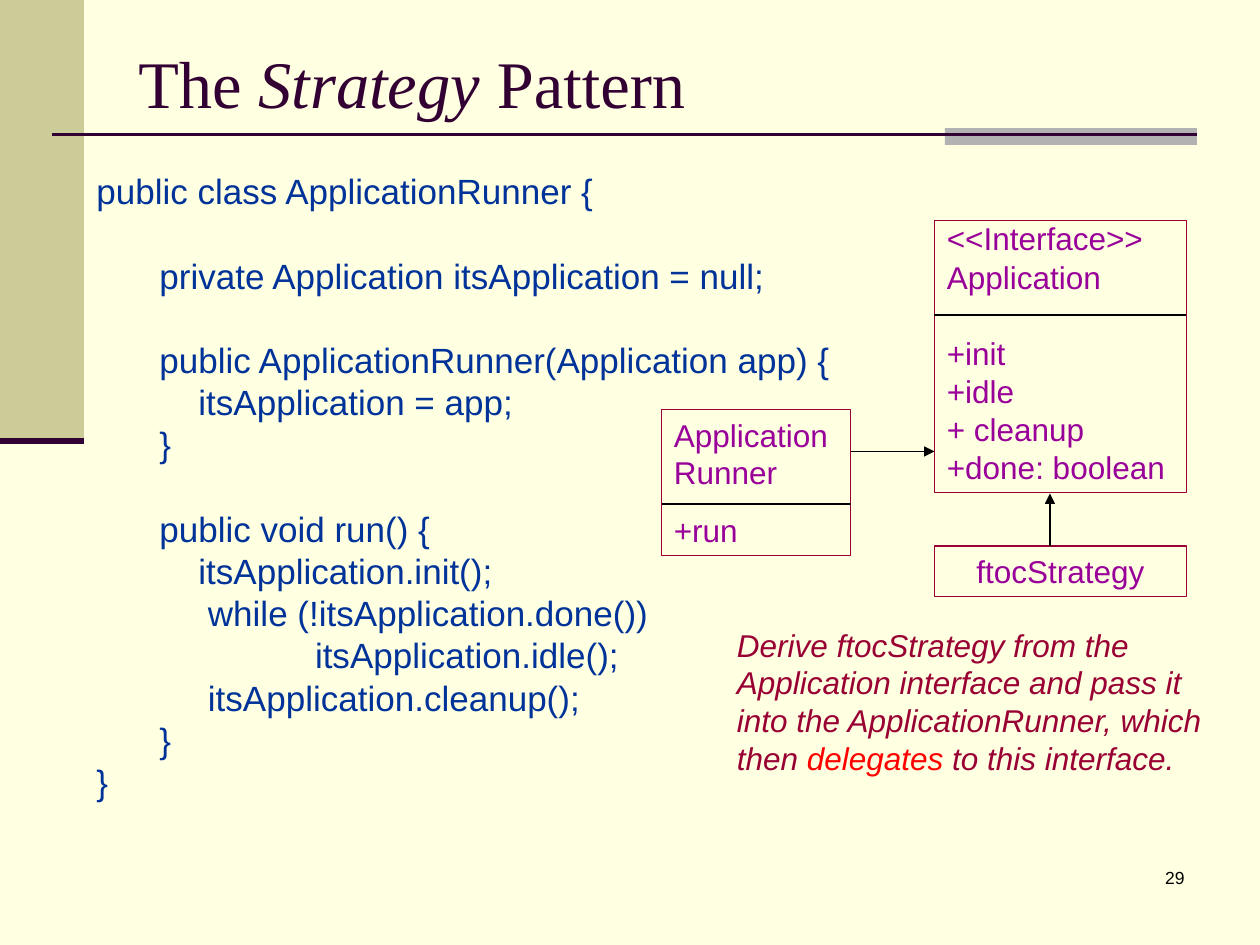
from lxml import etree
from pptx import Presentation
from pptx.dml.color import RGBColor
from pptx.enum.shapes import MSO_CONNECTOR, MSO_SHAPE
from pptx.enum.text import MSO_ANCHOR, PP_ALIGN
from pptx.oxml.ns import qn
from pptx.util import Inches, Pt

# Colours
CREAM, SAND, GREY, PLUM = "FFFFE1", "CCCC99", "B2B2B2", "330033"
BLUE, PURPLE, WINE, RED, BLACK = "003399", "990099", "990033", "FF0000", "000000"


def color(value):
    return RGBColor.from_string(value)


def grid(*units):
    """Lengths on a grid of 12 cells to the inch (120 columns, 90 rows)."""
    return [Inches(unit / 12) for unit in units]


class Slide:
    """Holds the style and the page being filled."""

    def __init__(self, deck, font="Arial"):
        self.font = font
        self.page = deck.slides.add_slide(deck.slide_layouts[6])
        self.page.background.fill.solid()
        self.page.background.fill.fore_color.rgb = color(CREAM)

    def rect(self, area, fill=None, line=None):
        shape = self.page.shapes.add_shape(MSO_SHAPE.RECTANGLE, *grid(*area))
        shape.shadow.inherit = False
        if fill:
            shape.fill.solid()
            shape.fill.fore_color.rgb = color(fill)
        else:
            shape.fill.background()
        if line:
            shape.line.color.rgb = color(line)
            shape.line.width = Pt(0.75)
        else:
            shape.line.fill.background()
        return shape

    def line(self, start, end, ink=BLACK, width=0.75, arrow=False):
        line = self.page.shapes.add_connector(
            MSO_CONNECTOR.STRAIGHT, *grid(*start, *end))
        line.line.color.rgb = color(ink)
        line.line.width = Pt(width)
        if arrow:
            outline = line._element.spPr.find(qn("a:ln"))
            etree.SubElement(outline, qn("a:tailEnd"), type="triangle")
        etree.SubElement(line._element.spPr, qn("a:effectLst"))

    def box(self, area):
        return self.page.shapes.add_textbox(*grid(*area))

    def text(self, box, paragraphs, size, ink, font=None, align=PP_ALIGN.LEFT,
             anchor=MSO_ANCHOR.TOP, spacing=None):
        """Each paragraph is (space before, spans); a span is (words, changes)."""
        frame = box.text_frame
        frame.word_wrap = True
        frame.vertical_anchor = anchor
        for number, (before, spans) in enumerate(paragraphs):
            para = frame.paragraphs[0] if number == 0 else frame.add_paragraph()
            para.alignment = align
            para.line_spacing = spacing
            if number:
                para.space_before = Pt(before)
            para.font.name = font or self.font
            para.font.size = Pt(size)
            para.font.color.rgb = color(ink)
            for words, changes in spans:
                span = para.add_run()
                span.text = words
                span.font.italic = changes.get("italic")
                if "ink" in changes:
                    span.font.color.rgb = color(changes["ink"])
        return frame.paragraphs

    def code(self, area, lines):
        """Each line is (left indent in inches, space before, words)."""
        paras = self.text(self.box(area),
                          [(before, [(words, {})]) for _, before, words in lines],
                          20, BLUE, spacing=0.9)
        for para, (indent, _, _) in zip(paras, lines):
            para._p.get_or_add_pPr().set("marL", str(Inches(indent)))

    def uml(self, area, rows, align=PP_ALIGN.LEFT, spacing=None):
        self.text(self.rect(area, line=WINE),
                  [(before, [(words, {})]) for before, words in rows],
                  18, PURPLE, align=align, spacing=spacing)


def main():
    deck = Presentation()
    deck.slide_width, deck.slide_height = grid(120, 90)
    slide = Slide(deck)

    # Frame: side band, accent bar and rules
    slide.rect((0, 0, 8, 42), fill=SAND)
    slide.rect((90, 12.2, 24, 1.6), fill=GREY)
    slide.line((5, 12.8), (114, 12.8), PLUM, 1.5)
    slide.line((0, 42), (8, 42), PLUM, 3.5)

    # Page number and title
    slide.text(slide.box((89, 82, 25, 6)), [(0, [("29", {})])], 10, BLACK,
               align=PP_ALIGN.RIGHT)
    title = [("The ", {}), ("Strategy", {"italic": True}), (" Pattern", {})]
    slide.text(slide.box((12, 3.6, 102, 8.4)), [(0, title)], 38, PLUM,
               font="Times New Roman", anchor=MSO_ANCHOR.MIDDLE)

    # Code listing: a gap stands for one skipped line
    outer, member, body = 0, 0.5, 0.81
    tight, gap = 2.5, 26.7
    slide.code((8, 16, 74, 68), [
        (outer, tight, "public class ApplicationRunner {"),
        (member, gap, "private Application itsApplication = null;"),
        (member, gap, "public ApplicationRunner(Application app) {"),
        (body, tight, "itsApplication = app;"),
        (member, tight, "}"),
        (member, gap, "public void run() {"),
        (body, tight, "itsApplication.init();"),
        (member, tight, "     while (!itsApplication.done())"),
        (body, tight, "            itsApplication.idle();"),
        (member, tight, "     itsApplication.cleanup();"),
        (member, tight, "}"),
        (outer, tight, "}"),
    ])

    # Class diagram
    slide.uml((63, 39, 18, 13.9), [(0, "Application Runner"), (11.2, "+run")])
    slide.uml((89, 21, 24, 25.9), [
        (0, "<<Interface>>"), (4.5, "Application"), (26.3, "+init"),
        (4.5, "+idle"), (4.5, "+ cleanup"), (4.5, "+done: boolean"),
    ], spacing=0.8)
    slide.uml((89, 52, 24, 4.8), [(0, "ftocStrategy")], align=PP_ALIGN.CENTER)
    slide.line((63, 48), (81, 48))
    slide.line((89, 30), (113, 30))
    slide.line((81, 43), (89, 43), arrow=True)
    slide.line((100, 52), (100, 47), arrow=True)

    # Explanation
    slanted = {"italic": True}
    slide.text(slide.box((69, 59, 47, 21.1)), [(0, [
        ("Derive ftocStrategy from the Application interface and pass it into "
         "the ApplicationRunner, which then ", slanted),
        ("delegates", {"italic": True, "ink": RED}),
        (" to this interface.", slanted),
    ])], 18, WINE)

    deck.save("out.pptx")


if __name__ == "__main__":
    main()
